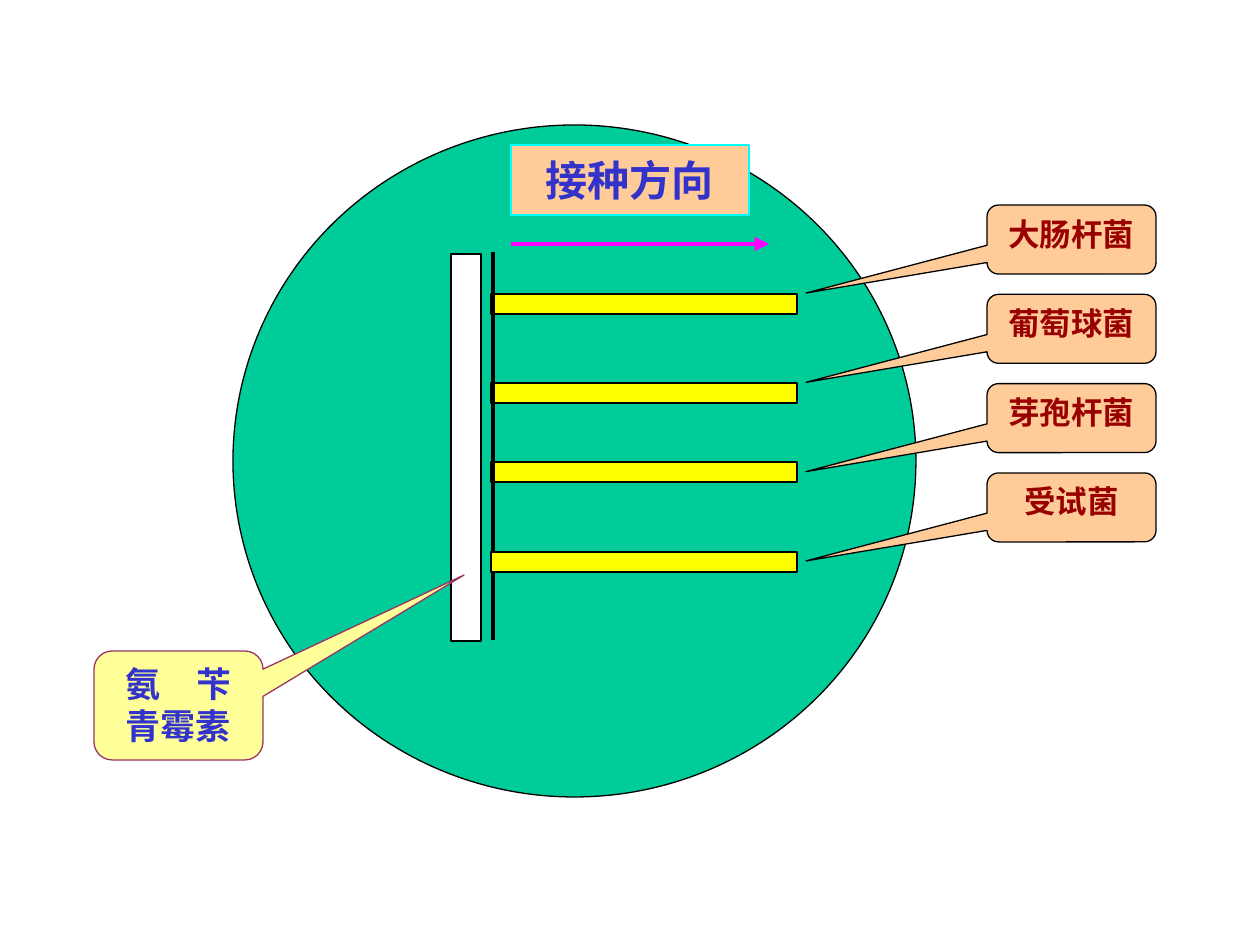
import pptx
import pptx.util
import pptx.dml.color
import pptx.enum.shapes
import pptx.enum.text
import pptx.oxml.ns
from dataclasses import dataclass
from lxml import etree

SHAPE = pptx.enum.shapes.MSO_SHAPE
ANCHOR = pptx.enum.text.MSO_ANCHOR
EMU_PER_PX = 914400 / 126


@dataclass(frozen=True)
class Theme:
    font: str = "Lato"
    dish: str = "00CC99"
    strip: str = "FFFFFF"
    streak: str = "FFFF00"
    peach: str = "FFCC99"
    drug: str = "FFFF99"
    drug_line: str = "993366"
    label_line: str = "00FFFF"
    arrow: str = "FF00FF"
    black: str = "000000"
    blue: str = "3333CC"
    red: str = "990000"
    label_size: int = 24
    drug_size: int = 20
    bacteria_size: int = 18


THEME = Theme()

# Content; boxes are left, top, width, height in px
DIRECTION = "接种方向"
DRUG = ["氨　苄", "青霉素"]
BACTERIA = ["大肠杆菌", "葡萄球菌", "芽孢杆菌", "受试菌"]

DISH_BOX = (233, 125, 683, 672)
STRIP_BOX = (451, 254, 30, 387)
LABEL_BOX = (511, 145, 238, 70)
DRUG_BOX = (94, 651, 169, 109)
DRUG_TIP = (464, 575)
ARROW = (511, 244, 769, 244)
START_LINE = (493, 252, 493, 640)
STREAK_TOPS = [294, 383, 462, 552]
STREAK_LEFT, STREAK_W, STREAK_H = 491, 306, 20
CALLOUT_LEFT, CALLOUT_TOP, CALLOUT_W, CALLOUT_H = 987, 205, 169, 69
CALLOUT_STEP = 89.3
CALLOUT_TIP_X, CALLOUT_TIP_DROP = 806, 88


def px(n):
    return pptx.util.Emu(round(n * EMU_PER_PX))


def rgb(code):
    return pptx.dml.color.RGBColor.from_string(code)


def add_box(slide, kind, box, fill, line=THEME.black, weight=0.75):
    sp = slide.shapes.add_shape(kind, *map(px, box))
    sp.shadow.inherit = False
    sp.fill.solid()
    sp.fill.fore_color.rgb = rgb(fill)
    sp.line.color.rgb = rgb(line)
    sp.line.width = pptx.util.Pt(weight)
    return sp


def write(sp, lines, size, color, anchor=ANCHOR.TOP, wrap=True):
    tf = sp.text_frame
    tf.word_wrap = wrap
    tf.vertical_anchor = anchor
    for i, line in enumerate(lines):
        p = tf.paragraphs[0] if i == 0 else tf.add_paragraph()
        p.alignment = pptx.enum.text.PP_ALIGN.CENTER
        r = p.add_run()
        r.text = line
        r.font.size = pptx.util.Pt(size)
        r.font.bold = True
        r.font.name = THEME.font
        r.font.color.rgb = rgb(color)
        ea = etree.SubElement(r.font._element, pptx.oxml.ns.qn("a:ea"))
        ea.set("typeface", THEME.font)


def add_callout(slide, box, tip, fill, line=THEME.black):
    """Add a rounded callout whose pointer ends at tip."""
    sp = add_box(slide, SHAPE.ROUNDED_RECTANGULAR_CALLOUT, box, fill, line)
    left, top, width, height = box
    sp.adjustments[0] = (tip[0] - left) / width - 0.5
    sp.adjustments[1] = (tip[1] - top) / height - 0.5
    sp.adjustments[2] = 0.167
    return sp


def add_line(slide, ends, color, weight, arrow=False):
    line = slide.shapes.add_connector(
        pptx.enum.shapes.MSO_CONNECTOR.STRAIGHT, *map(px, ends))
    line.line.color.rgb = rgb(color)
    line.line.width = pptx.util.Pt(weight)
    if arrow:
        tail = etree.SubElement(line.line._get_or_add_ln(),
                                pptx.oxml.ns.qn("a:tailEnd"))
        tail.set("type", "triangle")
    etree.SubElement(line._element.spPr, pptx.oxml.ns.qn("a:effectLst"))


def add_streak(slide, top):
    add_box(slide, SHAPE.RECTANGLE, (STREAK_LEFT, top, STREAK_W, STREAK_H),
            THEME.streak)


def main():
    prs = pptx.Presentation()
    prs.slide_width, prs.slide_height = px(1260), px(945)
    slide = prs.slides.add_slide(prs.slide_layouts[6])

    add_box(slide, SHAPE.OVAL, DISH_BOX, THEME.dish)
    add_box(slide, SHAPE.RECTANGLE, STRIP_BOX, THEME.strip)

    # The start line crosses every streak but the last
    for top in STREAK_TOPS[:-1]:
        add_streak(slide, top)
    add_line(slide, START_LINE, THEME.black, 2)
    add_streak(slide, STREAK_TOPS[-1])

    for i, name in enumerate(BACTERIA):
        top = CALLOUT_TOP + i * CALLOUT_STEP
        sp = add_callout(slide, (CALLOUT_LEFT, top, CALLOUT_W, CALLOUT_H),
                         (CALLOUT_TIP_X, top + CALLOUT_TIP_DROP), THEME.peach)
        write(sp, [name], THEME.bacteria_size, THEME.red)

    sp = add_callout(slide, DRUG_BOX, DRUG_TIP, THEME.drug, THEME.drug_line)
    write(sp, DRUG, THEME.drug_size, THEME.blue)

    add_line(slide, ARROW, THEME.arrow, 2.75, arrow=True)
    sp = add_box(slide, SHAPE.RECTANGLE, LABEL_BOX, THEME.peach,
                 THEME.label_line, 1.25)
    write(sp, [DIRECTION], THEME.label_size, THEME.blue,
          anchor=ANCHOR.MIDDLE, wrap=False)

    prs.save("out.pptx")


if __name__ == "__main__":
    main()
